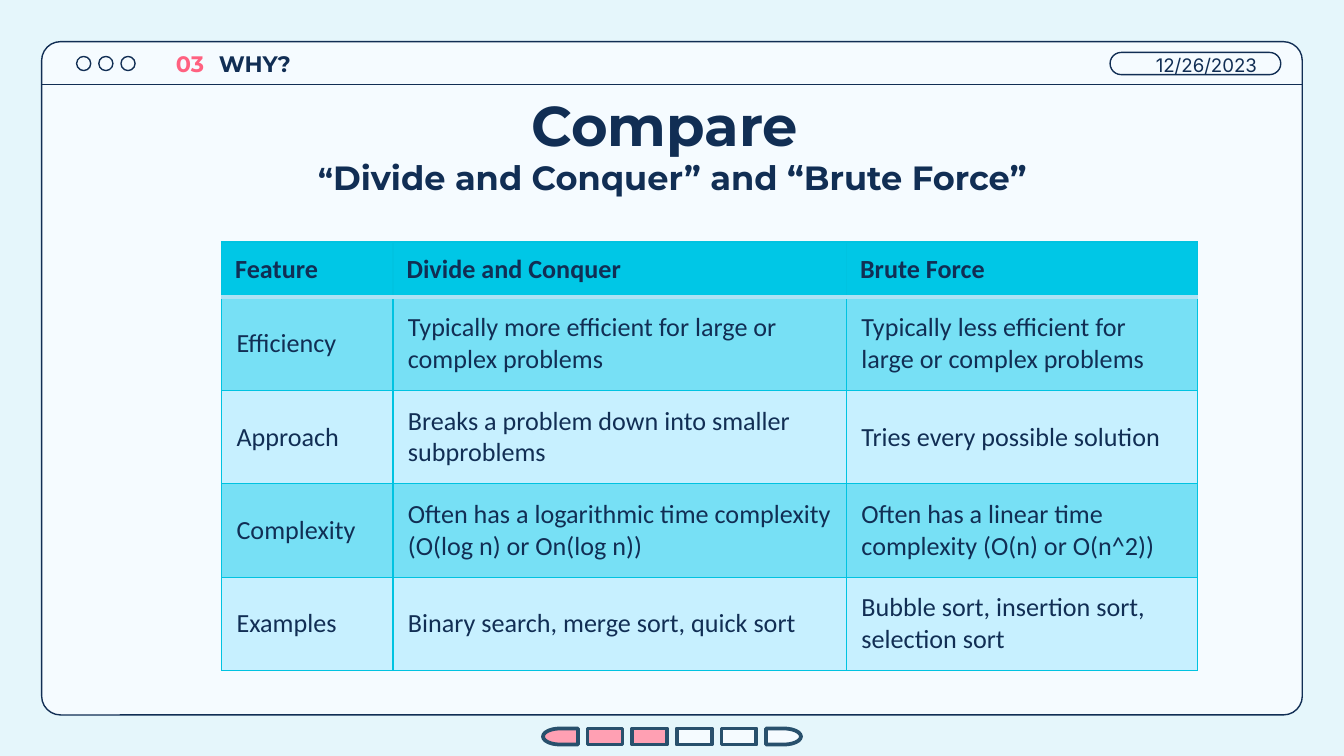
from collections import namedtuple

from lxml import etree
from pptx import Presentation
from pptx import util as u
from pptx.dml.color import RGBColor
from pptx.enum import shapes, text
from pptx.oxml.ns import qn

Box = namedtuple("Box", "left top width height")

# All lengths are columns and rows of a grid of tenths of an inch.
COLUMNS, ROWS = 100, 56.25
NAVY, SLATE, ROSE, PINK = "112E54", "28506C", "FF6180", "FFA0B3"
PAPER, SKY, CYAN, EDGE = "F5FBFF", "E5F6FB", "00C7E6", "00C3E1"
BAND_DARK, BAND_LIGHT, HEADER_RULE = "77E0F5", "C7F0FF", "AEE2F4"
SHAPE = shapes.MSO_SHAPE
ALIGN, ANCHOR = text.PP_ALIGN, text.MSO_ANCHOR

COMPARISON = [
    ("Feature", "Divide and Conquer", "Brute Force"),
    ("Efficiency", "Typically more efficient for large or complex problems",
     "Typically less efficient for large or complex problems"),
    ("Approach", "Breaks a problem down into smaller subproblems",
     "Tries every possible solution"),
    ("Complexity", "Often has a logarithmic time complexity (O(log n) or On(log n))",
     "Often has a linear time complexity (O(n) or O(n^2))"),
    ("Examples", "Binary search, merge sort, quick sort",
     "Bubble sort, insertion sort, selection sort"),
]


def grid(count):
    return u.Inches(count / 10)


def color(value):
    return RGBColor.from_string(value)


def inside(box, left, top, width, height):
    return Box(box.left + left, box.top + top, width, height)


def assign(target, values):
    for name, value in values.items():
        setattr(target, name, value)


def add_run(paragraph, words, size, font, ink=NAVY, bold=False):
    run = paragraph.add_run()
    run.text = words
    assign(run.font, {"size": u.Pt(size), "name": font, "bold": bold})
    run.font.color.rgb = color(ink)


def add_outline(slide, kind, box, line, weight, fill=None, corner=None):
    shape = slide.shapes.add_shape(kind, *map(grid, box))
    shape.shadow.inherit = False
    if fill:
        shape.fill.solid()
        shape.fill.fore_color.rgb = color(fill)
    else:
        shape.fill.background()
    shape.line.color.rgb = color(line)
    shape.line.width = u.Pt(weight)
    if corner is not None:
        shape.adjustments[0] = corner
    return shape


def add_text(slide, box, anchor=ANCHOR.TOP, left_inset=1):
    """Add an empty text box and return its first paragraph."""
    frame = slide.shapes.add_textbox(*map(grid, box)).text_frame
    assign(frame, {"word_wrap": True, "vertical_anchor": anchor,
                   "margin_left": grid(left_inset), "margin_right": grid(1),
                   "margin_top": grid(1), "margin_bottom": grid(1)})
    return frame.paragraphs[0]


def add_window(slide, box):
    add_outline(slide, SHAPE.ROUNDED_RECTANGLE, box, NAVY, 0.75, PAPER, 0.028)
    for index in range(3):
        button = inside(box, 2.6 + 1.65 * index, 1.1, 1.05, 1.05)
        add_outline(slide, SHAPE.OVAL, button, NAVY, 0.75)
    pill = inside(box, box.width - 14.3, 0.8, 12.7, 1.65)
    add_outline(slide, SHAPE.ROUNDED_RECTANGLE, pill, NAVY, 0.75, corner=0.5)

    right, bar_bottom = box.left + box.width, box.top + 3.2
    rule = slide.shapes.add_connector(
        shapes.MSO_CONNECTOR.STRAIGHT,
        *map(grid, (box.left, bar_bottom, right, bar_bottom)))
    rule.line.color.rgb = color(NAVY)
    rule.line.width = u.Pt(0.75)
    etree.SubElement(rule._element.spPr, qn("a:effectLst"))


def add_bar_labels(slide, box):
    labels = [("03", ROSE, 9, 4.6), ("WHY?", NAVY, 12.2, 7.9)]
    for words, ink, left, width in labels:
        label = add_text(slide, inside(box, left, 0, width, 3.6), ANCHOR.BOTTOM)
        add_run(label, words, 12, "Montserrat", ink, True)
    date = add_text(slide, inside(box, box.width - 13.4, -0.3, 13.8, 3.9),
                    left_inset=2.5)
    date.line_spacing = 1.15
    add_run(date, "12/26/2023", 10, "Inter")


def add_title(slide, box):
    title = add_text(slide, box)
    title.alignment = ALIGN.CENTER
    add_run(title, "Compare ", 30, "Montserrat", bold=True)
    title.add_line_break()
    add_run(title, "“", 16, "Montserrat", bold=True)
    add_run(title, "Divide and Conquer” and “Brute Force”", 18, "Montserrat", bold=True)


def set_borders(cell, bottom=(EDGE, 0.75), top=(EDGE, 0.75)):
    side = (EDGE, 0.75)
    borders = {"a:lnL": side, "a:lnR": side, "a:lnT": top, "a:lnB": bottom}
    properties = cell._tc.get_or_add_tcPr()
    for index, (tag, (ink, weight)) in enumerate(borders.items()):
        line = etree.Element(qn(tag), w=str(u.Pt(weight)))
        fill = etree.SubElement(line, qn("a:solidFill"))
        etree.SubElement(fill, qn("a:srgbClr"), val=ink)
        properties.insert(index, line)


def add_comparison(slide, box):
    header_height = 4.1
    row_height = (box.height - header_height) / (len(COMPARISON) - 1)
    table = slide.shapes.add_table(len(COMPARISON), 3, *map(grid, box)).table
    for column, width in zip(table.columns, (12.75, 33.75, 26.1)):
        column.width = grid(width)
    header_rule = (HEADER_RULE, 2)
    for index, words_in_row in enumerate(COMPARISON):
        header = index == 0
        table.rows[index].height = grid(header_height if header else row_height)
        band = CYAN if header else BAND_DARK if index % 2 else BAND_LIGHT
        side, end = (1, 0.5) if header else (1.1, 1.1)
        for column, words in enumerate(words_in_row):
            cell = table.cell(index, column)
            assign(cell, {"vertical_anchor": ANCHOR.MIDDLE,
                          "margin_left": grid(side), "margin_right": grid(side),
                          "margin_top": grid(end), "margin_bottom": grid(end)})
            cell.fill.solid()
            cell.fill.fore_color.rgb = color(band)
            add_run(cell.text_frame.paragraphs[0], words, 14, "Calibri", bold=header)
            if header:
                set_borders(cell, bottom=header_rule)
            elif index == 1:
                set_borders(cell, top=header_rule)
            else:
                set_borders(cell)


def add_progress(slide, box, steps=6, done=3):
    width = 2.6
    pitch = (box.width - width) / (steps - 1)
    for step in range(steps):
        at_end = step in (0, steps - 1)
        kind = SHAPE.FLOWCHART_DELAY if at_end else SHAPE.RECTANGLE
        part = inside(box, step * pitch, 0, width, box.height)
        shape = add_outline(slide, kind, part, SLATE, 2, PINK if step < done else PAPER)
        if step == 0:
            shape.rotation = 180


def main():
    presentation = Presentation()
    presentation.slide_width, presentation.slide_height = grid(COLUMNS), grid(ROWS)
    slide = presentation.slides.add_slide(presentation.slide_layouts[6])
    slide.background.fill.solid()
    slide.background.fill.fore_color.rgb = color(SKY)

    window = Box(3.1, 3.1, 93.8, 50.1)
    add_window(slide, window)
    add_title(slide, Box(7.9, 5.7, 84.3, 9.9))
    add_comparison(slide, Box(16.5, 18, 72.6, 31.9))
    add_progress(slide, Box(40.4, 54.2, 19.2, 1.2))
    add_bar_labels(slide, window)
    presentation.save("out.pptx")


if __name__ == "__main__":
    main()
